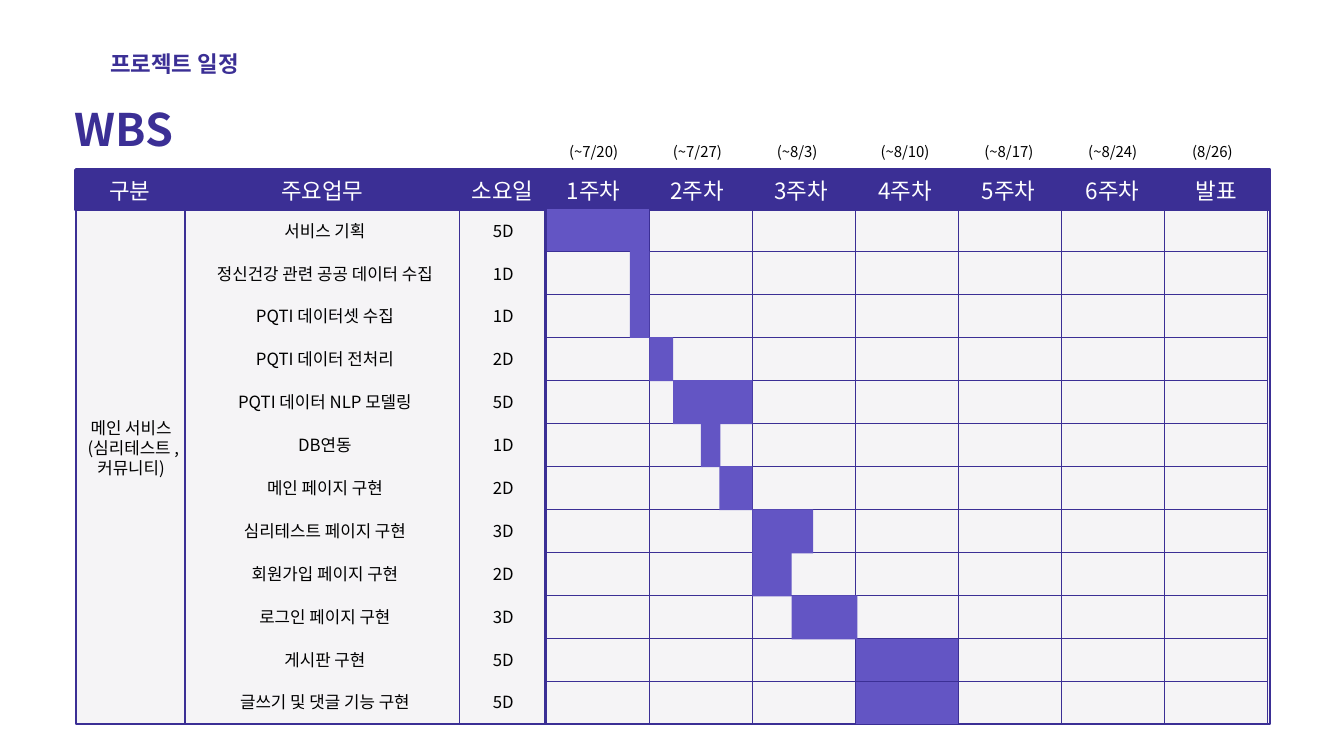
from collections import namedtuple

from lxml import etree
from pptx import Presentation
from pptx.dml.color import RGBColor
from pptx.enum.shapes import MSO_CONNECTOR, MSO_SHAPE
from pptx.enum.text import MSO_AUTO_SIZE, PP_ALIGN
from pptx.oxml.ns import qn
from pptx.util import Pt

LEFT, CENTER = PP_ALIGN.LEFT, PP_ALIGN.CENTER
GROW = MSO_AUTO_SIZE.SHAPE_TO_FIT_TEXT
RECTANGLE = MSO_SHAPE.RECTANGLE
STRAIGHT = MSO_CONNECTOR.STRAIGHT

INDIGO = RGBColor(0x3B, 0x2F, 0x95)
VIOLET = RGBColor(0x63, 0x55, 0xC4)
MIST = RGBColor(0xF5, 0xF4, 0xF6)
WHITE = RGBColor(0xFF, 0xFF, 0xFF)
BLACK = RGBColor(0, 0, 0)
FONT = "Noto Sans CJK KR"

Box = namedtuple("Box", "left top width height")
Task = namedtuple("Task", "name duration start weeks")

TASKS = [
    Task("서비스 기획", "5D", 0, 1),
    Task("정신건강 관련 공공 데이터 수집", "1D", 0.81, 0.19),
    Task("PQTI 데이터셋 수집", "1D", 0.81, 0.19),
    Task("PQTI 데이터 전처리", "2D", 1, 0.23),
    Task("PQTI 데이터 NLP 모델링", "5D", 1.23, 0.77),
    Task("DB연동", "1D", 1.5, 0.19),
    Task("메인 페이지 구현", "2D", 1.68, 0.32),
    Task("심리테스트 페이지 구현", "3D", 2, 0.59),
    Task("회원가입 페이지 구현", "2D", 2, 0.38),
    Task("로그인 페이지 구현", "3D", 2.38, 0.64),
    Task("게시판 구현", "5D", 3, 1),
    Task("글쓰기 및 댓글 기능 구현", "5D", 3, 1),
]
WEEKS = [
    ("1주차", "(~7/20)"),
    ("2주차", "(~7/27)"),
    ("3주차", "(~8/3)"),
    ("4주차", "(~8/10)"),
    ("5주차", "(~8/17)"),
    ("6주차", "(~8/24)"),
    ("발표", "(8/26)"),
]


def add_text(page, box, text, size, color, align=CENTER, bold=False):
    """Place a wrapped text box that grows with its text."""
    frame = page.shapes.add_textbox(*map(Pt, box)).text_frame
    frame.word_wrap = True
    frame.auto_size = GROW
    frame.text = text
    for para in frame.paragraphs:
        para.alignment = align
        for span in para.runs:
            font = span.font
            font.size, font.bold, font.name = Pt(size), bold, FONT
            font.color.rgb = color
            latin = font._element.find(qn("a:latin"))
            east_asian = etree.Element(qn("a:ea"), typeface=FONT)
            latin.addnext(east_asian)


def add_block(page, box, fill, line=None):
    """Place a flat rectangle, outlined only when a line colour is given."""
    block = page.shapes.add_shape(RECTANGLE, *map(Pt, box))
    block.shadow.inherit = False
    block.fill.solid()
    block.fill.fore_color.rgb = fill
    if line is None:
        block.line.fill.background()
    else:
        block.line.color.rgb = line
        block.line.width = Pt(2)


def add_divider(page, x, top, bottom):
    """Draw a vertical rule between two columns."""
    divider = page.shapes.add_connector(STRAIGHT, Pt(x), Pt(top), Pt(x), Pt(bottom))
    divider.line.color.rgb = INDIGO
    divider.line.width = Pt(1.5)
    etree.SubElement(divider._element.spPr, qn("a:effectLst"))


def add_borders(cell):
    """Give a table cell a thin line on all four sides."""
    properties = cell._tc.get_or_add_tcPr()
    for side in ("lnL", "lnR", "lnT", "lnB"):
        line = etree.SubElement(properties, qn(f"a:{side}"), w=str(Pt(1)))
        fill = etree.SubElement(line, qn("a:solidFill"))
        etree.SubElement(fill, qn("a:srgbClr"), val=str(INDIGO))


def add_headings(page):
    """Place the section name and the slide title."""
    add_text(page, Box(110.9, 49.7, 194.4, 36), "프로젝트 일정", 24, INDIGO, LEFT, True)
    add_text(page, Box(72.7, 105.1, 359.3, 65.5), "WBS", 48, INDIGO, LEFT, True)


def add_panel(page, box):
    """Draw the panel, its header band and the column rules."""
    add_block(page, box, MIST, INDIGO)
    add_block(page, Box(box.left - 0.7, box.top + 1.4, box.width, 43.2), INDIGO, INDIGO)
    for x in (198, 492.5, 583.9):
        add_divider(page, x, box.top + 4, box.top + box.height + 1)


def add_header(page, box):
    """Write the column names and the dates above the weeks."""
    for name, left, width in (
        ("구분", 79.9, 118.1),
        ("주요업무", 198, 294.5),
        ("소요일", 491.8, 93.6),
    ):
        add_text(page, Box(left, box.top, width, box.height), name, 24, WHITE)
    pitch = box.width / len(WEEKS)
    for index, (week, date) in enumerate(WEEKS):
        left = box.left + index * pitch
        add_text(page, Box(left, box.top, 93.6, box.height), week, 24, WHITE)
        add_text(page, Box(left + 13.7, box.top - 36.5, 95.8, 26.6), date, 16, BLACK, LEFT)


def add_schedule(page, box):
    """Build the week grid, with whole-week tasks as filled cells."""
    frame = page.shapes.add_table(len(TASKS), len(WEEKS), *map(Pt, box))
    table = frame.table
    table.first_row = table.horz_banding = False
    for column in table.columns:
        column.width = Pt(box.width / len(WEEKS))
    for row, task in zip(table.rows, TASKS):
        row.height = Pt(box.height / len(TASKS))
        for week, cell in enumerate(row.cells):
            add_borders(cell)
            if task.weeks == 1 and task.start == week:
                cell.fill.solid()
                cell.fill.fore_color.rgb = VIOLET
            else:
                cell.fill.background()


def add_bars(page, box):
    """Draw the bars of tasks that take part of a week."""
    week = box.width / len(WEEKS)
    row = box.height / len(TASKS)
    for index, task in enumerate(TASKS):
        if task.weeks < 1:
            left = box.left + task.start * week
            top = box.top + index * row - 0.5
            add_block(page, Box(left, top, task.weeks * week, row + 1), VIOLET)


def add_tasks(page, box):
    """Write the service group, the task names and their durations."""
    add_text(page, Box(85, 443.5, 110.9, 72.7), "메인 서비스\n(심리테스트 ,커뮤니티)", 18, BLACK)
    pitch = box.height / len(TASKS)
    for index, task in enumerate(TASKS):
        top = box.top + index * pitch
        add_text(page, Box(box.left, top, 293, 29.5), task.name, 18, BLACK)
        add_text(page, Box(488.5, top, 101.5, 29.5), task.duration, 18, BLACK)


def main():
    """Build the work schedule slide."""
    deck = Presentation()
    deck.slide_width, deck.slide_height = Pt(1440), Pt(810)
    page = deck.slides.add_slide(deck.slide_layouts[6])
    grid = Box(585.4, 223.2, 772.6, 553.7)
    add_headings(page)
    add_panel(page, Box(81.4, 180.7, 1279.4, 595.4))
    add_header(page, Box(589, 186, 778.7, 36))
    add_schedule(page, grid)
    add_tasks(page, Box(201.6, 232.6, 388.4, 551.4))
    add_bars(page, grid)
    deck.save("out.pptx")


if __name__ == "__main__":
    main()
